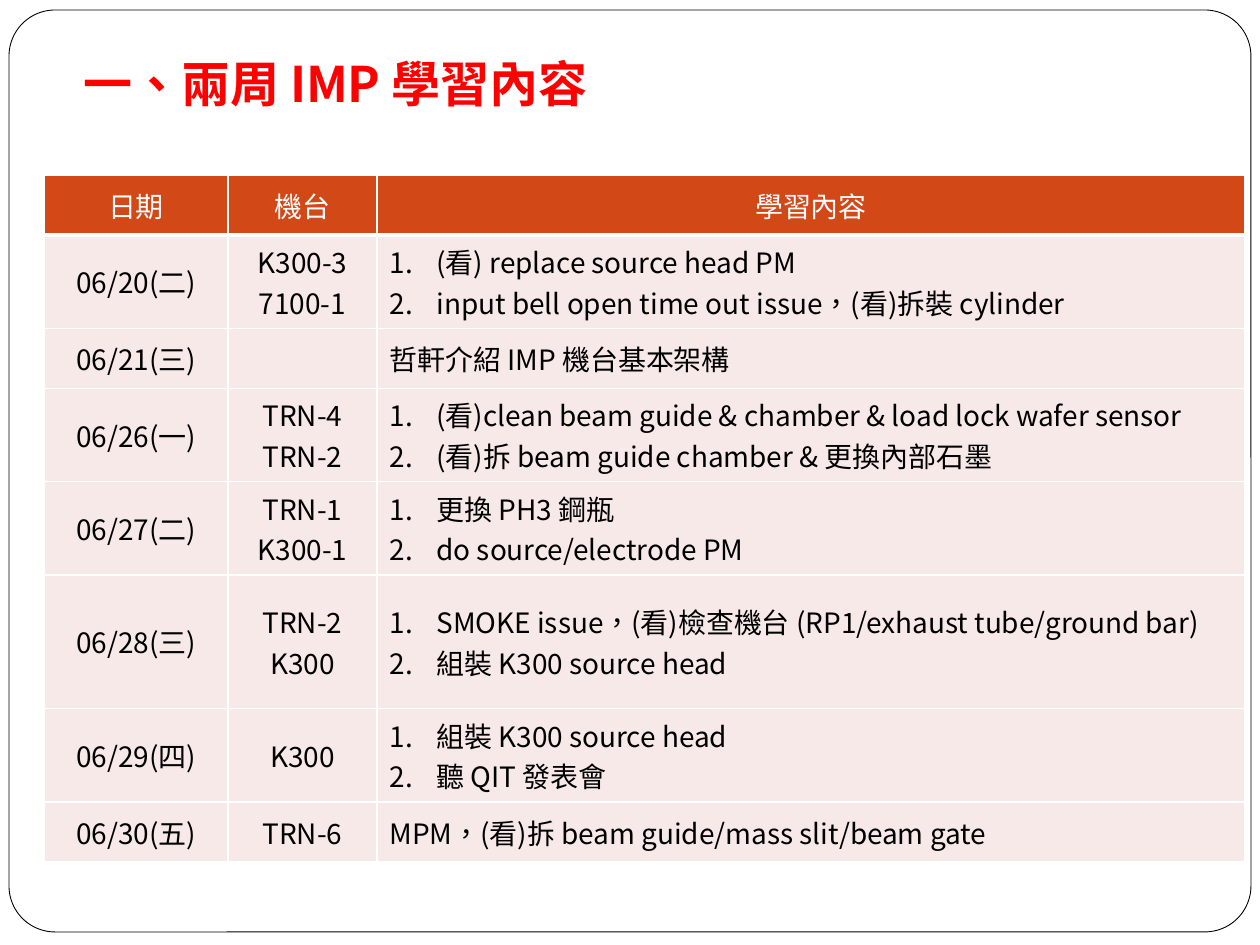
"""Builds a slide that lists two weeks of IMP training in a table."""
from lxml.etree import SubElement
from pptx import Presentation
from pptx.dml.color import RGBColor
from pptx.enum.shapes import MSO_SHAPE
from pptx.enum.text import MSO_ANCHOR, PP_ALIGN
from pptx.oxml.ns import qn
from pptx.util import Pt

PX = 914400 / 126
FONT = "Noto Sans CJK SC"
HEADINGS = ("日期", "機台", "學習內容")
DAYS = [
    ("06/20(二)", ["K300-3", "7100-1"],
     ["(看) replace source head PM", "input bell open time out issue，(看)拆裝 cylinder"]),
    ("06/21(三)", [], ["哲軒介紹 IMP 機台基本架構"]),
    ("06/26(一)", ["TRN-4", "TRN-2"],
     ["(看)clean beam guide & chamber & load lock wafer sensor",
      "(看)拆 beam guide chamber & 更換內部石墨"]),
    ("06/27(二)", ["TRN-1", "K300-1"], ["更換 PH3 鋼瓶", "do source/electrode PM"]),
    ("06/28(三)", ["TRN-2", "K300"],
     ["SMOKE issue，(看)檢查機台 (RP1/exhaust tube/ground bar)",
      "組裝 K300 source head"]),
    ("06/29(四)", ["K300"], ["組裝 K300 source head", "聽 QIT 發表會"]),
    ("06/30(五)", ["TRN-6"], ["MPM，(看)拆 beam guide/mass slit/beam gate"]),
]


def color(value):
    return RGBColor.from_string(value)


def write(frame, lines, size=16, ink="000000", bold=False, align=PP_ALIGN.LEFT,
          numbered=False):
    for index, line in enumerate(lines):
        para = frame.paragraphs[0] if index == 0 else frame.add_paragraph()
        para.alignment = align
        if numbered:
            props = para._p.get_or_add_pPr()
            props.set("marL", str(round(47 * PX)))
            props.set("indent", str(round(-47 * PX)))
            SubElement(props, qn("a:buFont"), typeface="+mj-lt")
            SubElement(props, qn("a:buAutoNum"), type="arabicPeriod")
        span = para.add_run()
        span.text = line
        span.font.size = Pt(size)
        span.font.bold = bold
        span.font.color.rgb = color(ink)
        span.font.name = FONT
        run_props = span._r.get_or_add_rPr()
        run_props.set("lang", "zh-TW")
        SubElement(run_props, qn("a:ea"), typeface=FONT)


deck = Presentation()
deck.slide_width, deck.slide_height = round(1260 * PX), round(945 * PX)
page = deck.slides.add_slide(deck.slide_layouts[6])

border = page.shapes.add_shape(
    MSO_SHAPE.ROUNDED_RECTANGLE, *(round(n * PX) for n in (9, 10, 1242, 922)))
border.adjustments[0] = 0.05
border.shadow.inherit = False
border.fill.solid()
border.fill.fore_color.rgb = color("FFFFFF")
border.line.color.rgb = color("000000")
border.line.width = Pt(0.5)

table = page.shapes.add_table(
    len(DAYS) + 1, 3, *(round(n * PX) for n in (44, 175, 1201, 578))).table
for column, width in zip(table.columns, (184, 149, 868)):
    column.width = round(width * PX)

rows = [[[heading] for heading in HEADINGS]]
rows += [[[date], machines, topics] for date, machines, topics in DAYS]
for row_index, row in enumerate(rows):
    header = row_index == 0
    table.rows[row_index].height = round(
        (79 if max(len(lines) for lines in row) > 1 else 60) * PX)
    for column_index, lines in enumerate(row):
        cell = table.cell(row_index, column_index)
        cell.vertical_anchor = MSO_ANCHOR.MIDDLE
        cell_props = cell._tc.get_or_add_tcPr()
        for side in ("lnL", "lnR", "lnT", "lnB"):
            thick = (header and side == "lnB") or (row_index == 1 and side == "lnT")
            edge = SubElement(cell_props, qn(f"a:{side}"), w=str(Pt(3 if thick else 1)))
            edge_fill = SubElement(edge, qn("a:solidFill"))
            SubElement(edge_fill, qn("a:srgbClr"), val="FFFFFF")
        cell.fill.solid()
        cell.fill.fore_color.rgb = color("D34817" if header else "F7E9E8")
        topic = column_index == 2 and not header
        write(cell.text_frame, lines, ink="FFFFFF" if header else "000000",
              align=PP_ALIGN.LEFT if topic else PP_ALIGN.CENTER,
              numbered=topic and len(lines) > 1)

title = page.shapes.add_textbox(*(round(n * PX) for n in (71, 47, 542, 72)))
title.text_frame.word_wrap = True
write(title.text_frame, ["一、兩周 IMP 學習內容"], size=28, ink="FF0000", bold=True)

deck.save("out.pptx")
